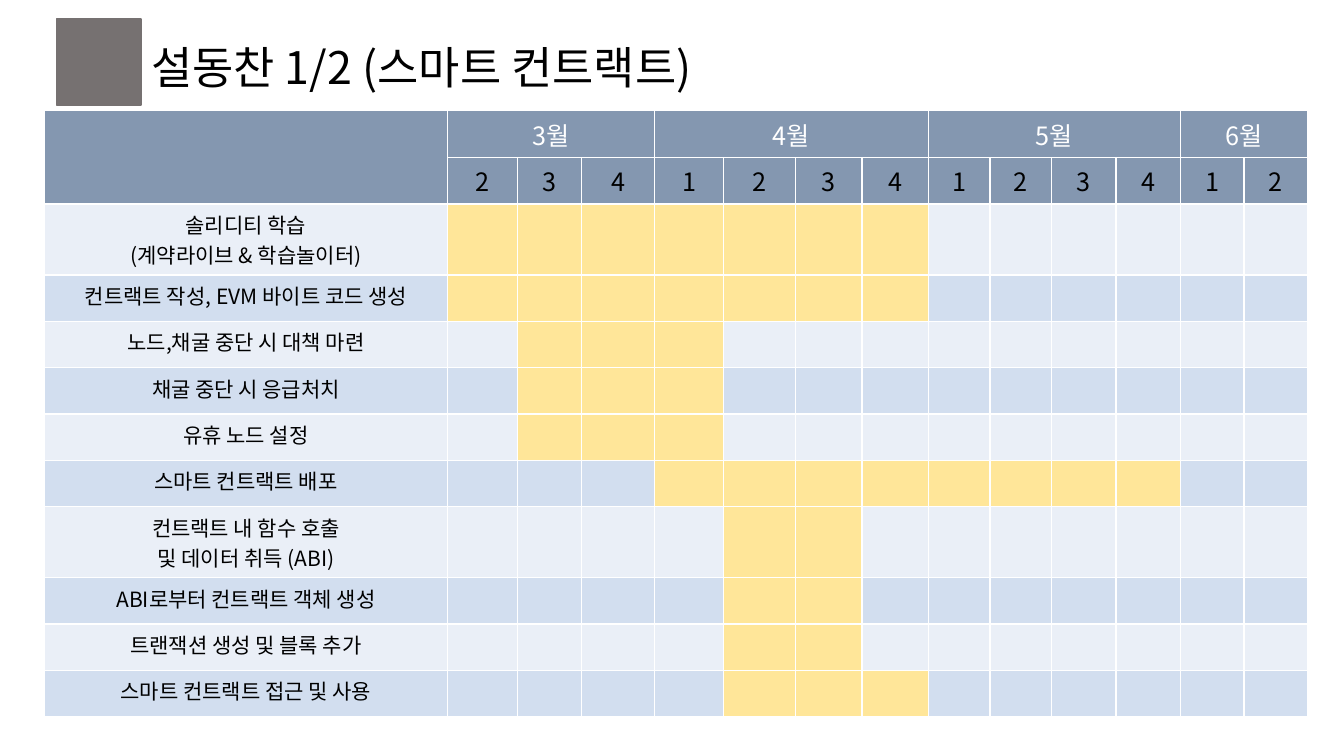
import pptx
import pptx.dml.color
import pptx.enum.shapes
import pptx.enum.text
import pptx.oxml.ns
import pptx.util
from lxml import etree

Inches = pptx.util.Inches
RGBColor = pptx.dml.color.RGBColor

FONT = "Noto Sans CJK KR"
BLACK = RGBColor(0x00, 0x00, 0x00)
WHITE = RGBColor(0xFF, 0xFF, 0xFF)
MARKER_GRAY = RGBColor(0x76, 0x71, 0x71)
HEADER_BLUE = RGBColor(0x84, 0x97, 0xB0)
BAND_COLORS = (RGBColor(0xEA, 0xEF, 0xF7), RGBColor(0xD2, 0xDE, 0xEF))
BAR_YELLOW = RGBColor(0xFF, 0xE6, 0x99)

COLUMN_WIDTHS = (4, 0.69, 0.64, 0.72, 0.69, 0.71, 0.66, 0.66,
                 0.61, 0.61, 0.64, 0.64, 0.63, 0.63)
HEADER_HEIGHT = 0.45
LINE_HEIGHTS = {1: 0.46, 2: 0.65}

# Month, first week, last week
MONTHS = (("3월", 2, 4), ("4월", 1, 4), ("5월", 1, 4), ("6월", 1, 2))

# Task, first column and last column of its bar
TASKS = (
    ("솔리디티 학습\n(계약라이브 & 학습놀이터)", 1, 7),
    ("컨트랙트 작성, EVM 바이트 코드 생성", 1, 7),
    ("노드,채굴 중단 시 대책 마련", 2, 4),
    ("채굴 중단 시 응급처치", 2, 4),
    ("유휴 노드 설정", 2, 4),
    ("스마트 컨트랙트 배포", 4, 11),
    ("컨트랙트 내 함수 호출\n및 데이터 취득 (ABI)", 5, 6),
    ("ABI로부터 컨트랙트 객체 생성", 5, 6),
    ("트랜잭션 생성 및 블록 추가", 5, 6),
    ("스마트 컨트랙트 접근 및 사용", 5, 7),
)


def write_text(text_frame, text, size, color=BLACK, align=None):
    """Write one paragraph for each line of text."""
    for index, line in enumerate(text.split("\n")):
        paragraph = text_frame.paragraphs[0] if index == 0 else text_frame.add_paragraph()
        paragraph.alignment = align
        run = paragraph.add_run()
        run.text = line
        run.font.size = pptx.util.Pt(size)
        run.font.color.rgb = color
        run.font.name = FONT
        east_asian = etree.SubElement(run.font._element, pptx.oxml.ns.qn("a:ea"))
        east_asian.set("typeface", FONT)


def style_cell(cell, fill):
    """Give the cell thin white borders and a solid fill."""
    properties = cell._tc.get_or_add_tcPr()
    for side in ("a:lnL", "a:lnR", "a:lnT", "a:lnB"):
        line = etree.SubElement(properties, pptx.oxml.ns.qn(side), w=str(pptx.util.Pt(1)))
        solid_fill = etree.SubElement(line, pptx.oxml.ns.qn("a:solidFill"))
        etree.SubElement(solid_fill, pptx.oxml.ns.qn("a:srgbClr"), val=str(WHITE))
    cell.fill.solid()
    cell.fill.fore_color.rgb = fill


def add_title(slide, left, top, width, height):
    marker_width = Inches(0.84)
    marker = slide.shapes.add_shape(
        pptx.enum.shapes.MSO_SHAPE.RECTANGLE, left, top, marker_width, height)
    marker.shadow.inherit = False
    marker.fill.solid()
    marker.fill.fore_color.rgb = MARKER_GRAY
    marker.line.color.rgb = MARKER_GRAY
    marker.line.width = pptx.util.Pt(1)

    title = slide.shapes.add_textbox(
        left + marker_width, top + Inches(0.15), width - marker_width, Inches(0.64))
    title.text_frame.word_wrap = False
    write_text(title.text_frame, "설동찬 1/2 (스마트 컨트랙트)", size=32)


def fill_header(table):
    center = pptx.enum.text.PP_ALIGN.CENTER
    table.cell(0, 0).merge(table.cell(1, 0))
    column = 1
    for month, first_week, last_week in MONTHS:
        month_cell = table.cell(0, column)
        month_cell.merge(table.cell(0, column + last_week - first_week))
        write_text(month_cell.text_frame, month, size=18, color=WHITE, align=center)
        for week in range(first_week, last_week + 1):
            write_text(table.cell(1, column).text_frame, str(week), size=18, align=center)
            column += 1
    for row in range(2):
        for column in range(len(COLUMN_WIDTHS)):
            style_cell(table.cell(row, column), HEADER_BLUE)


def fill_tasks(table):
    for index, (task, first, last) in enumerate(TASKS):
        row = index + 2
        write_text(table.cell(row, 0).text_frame, task, size=15,
                   align=pptx.enum.text.PP_ALIGN.CENTER)
        for column in range(len(COLUMN_WIDTHS)):
            band = BAND_COLORS[index % 2]
            style_cell(table.cell(row, column), BAR_YELLOW if first <= column <= last else band)


def add_schedule(slide, left, top, width, height):
    table = slide.shapes.add_table(
        len(TASKS) + 2, len(COLUMN_WIDTHS), left, top, width, height).table
    for column, column_width in zip(table.columns, COLUMN_WIDTHS):
        column.width = Inches(column_width)
    row_heights = [HEADER_HEIGHT] * 2
    row_heights += [LINE_HEIGHTS[len(task.split("\n"))] for task, _, _ in TASKS]
    for row, row_height in zip(table.rows, row_heights):
        row.height = Inches(row_height)
    fill_header(table)
    fill_tasks(table)


def main():
    presentation = pptx.Presentation()
    presentation.slide_width = Inches(13.33)
    presentation.slide_height = Inches(7.5)
    slide = presentation.slides.add_slide(presentation.slide_layouts[6])
    add_schedule(slide, Inches(0.44), Inches(1.1), Inches(12.52), Inches(5.87))
    add_title(slide, Inches(0.56), Inches(0.19), Inches(6.89), Inches(0.85))
    presentation.save("out.pptx")


if __name__ == "__main__":
    main()
